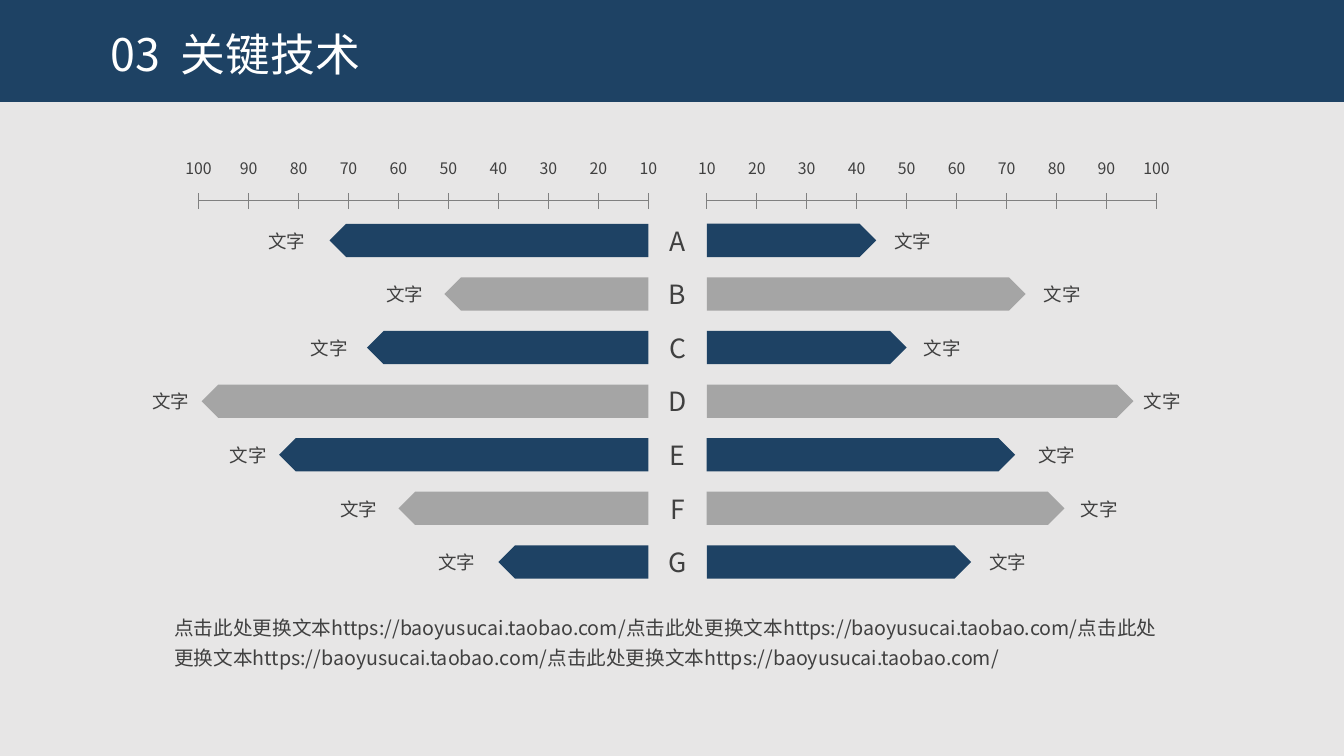
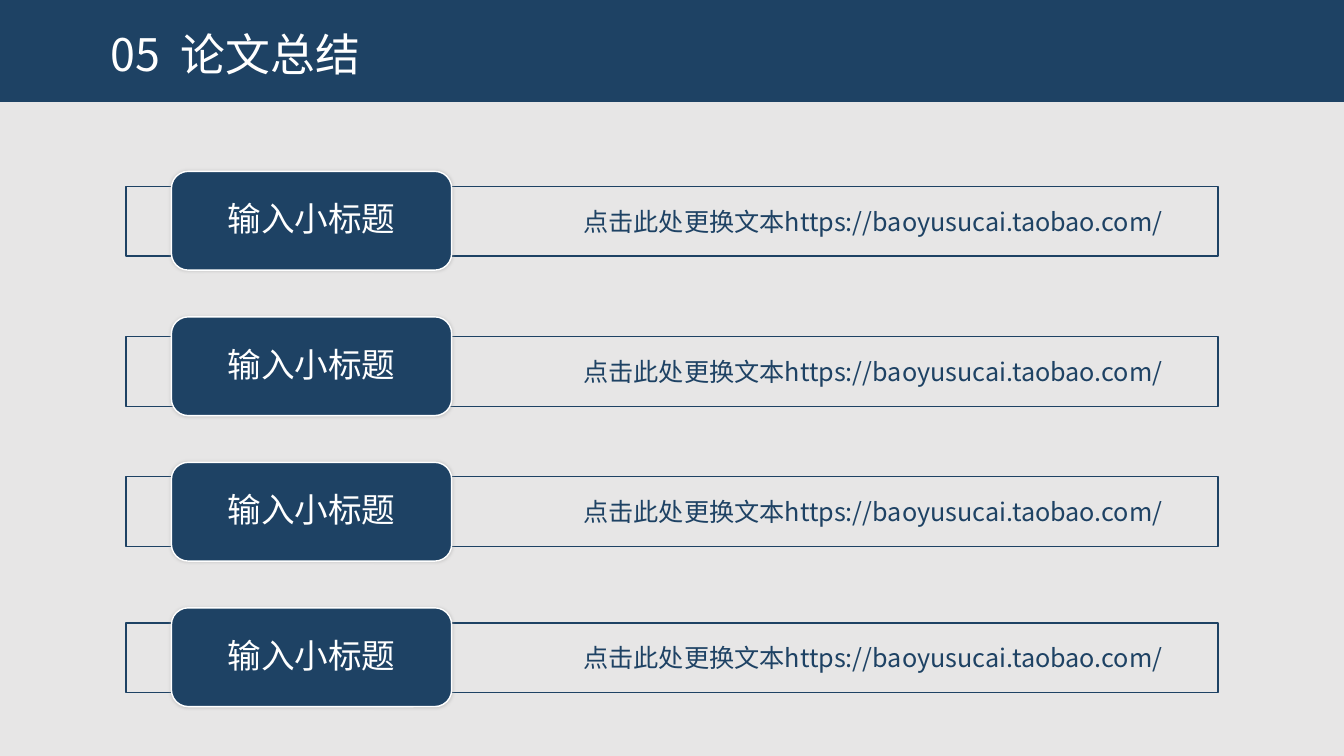
from lxml import etree
from pptx import Presentation
from pptx import util as u
from pptx.dml.color import RGBColor
from pptx.enum import shapes, text
from pptx.oxml import ns

FONT = "Noto Sans CJK SC"
NAVY, GREY, INK, RULE, PAPER, WHITE = (
    "1E4264", "A5A5A5", "404040", "808080", "E7E6E6", "FFFFFF")
PROMPT = "点击此处更换文本https://baoyusucai.taobao.com/"

# Letter, then value and label gap on the left, then the same on the right
SCORES = [
    ("A", (73.8, 0.14), (43.9, 0.08)),
    ("B", (50.8, 0.11), (73.8, 0.08)),
    ("C", (66.3, 0.09), (50, 0.07)),
    ("D", (99.4, 0.02), (95.4, 0)),
    ("E", (83.9, 0.02), (71.7, 0.13)),
    ("F", (60, 0.11), (81.6, 0.06)),
    ("G", (40, 0.13), (62.9, 0.08)),
]
BAR_LABEL = "文字"
SCALE = range(10, 101, 10)

# Small heading, text, top of the frame
CONCLUSIONS = [("输入小标题", PROMPT, top) for top in (1.85, 3.34, 4.73, 6.18)]

WIDTH, HEIGHT = 13.33, 7.5
LEFT_ZERO, RIGHT_ZERO = 6.43, 7.01
AXIS_Y, AXIS_LENGTH, TICK = 1.99, 4.46, 0.08
BAR_TOP, BAR_HEIGHT, BAR_PITCH = 2.22, 0.33, 3.19 / 6
LABEL_WIDTH = 0.57
CARD_TOP, CARD_PITCH = 1.7, 4.33 / 3


def rgb(colour):
    return RGBColor.from_string(colour)


def inches(*lengths):
    return [u.Inches(length) for length in lengths]


def write(frame, words, size, colour, align=text.PP_ALIGN.LEFT, spacing=None):
    """Fill a text frame with one formatted paragraph and return it."""
    frame.text = words
    paragraph = frame.paragraphs[0]
    paragraph.alignment = align
    if spacing:
        paragraph.line_spacing = spacing
    for run in paragraph.runs:
        run.font.size = u.Pt(size)
        run.font.color.rgb = rgb(colour)
        run.font.name = FONT
        latin = run.font._element.find(ns.qn("a:latin"))
        east_asian = etree.Element(ns.qn("a:ea"), typeface=FONT)
        latin.addnext(east_asian)
    return paragraph


def set_margins(frame, side):
    frame.word_wrap = True
    frame.margin_left = frame.margin_right = u.Inches(side)


def add_centred(slide, words, centre, top, width, height, size):
    box = slide.shapes.add_textbox(*inches(centre - width / 2, top, width, height))
    set_margins(box.text_frame, 0)
    write(box.text_frame, words, size, INK, text.PP_ALIGN.CENTER)


def add_block(slide, preset, place, fill=None, line=None):
    block = slide.shapes.add_shape(preset, *inches(*place))
    block.shadow.inherit = False
    if fill:
        block.fill.solid()
        block.fill.fore_color.rgb = rgb(fill)
    else:
        block.fill.background()
    if line:
        block.line.color.rgb = rgb(line)
        block.line.width = u.Pt(1)
    else:
        block.line.fill.background()
    return block


def add_rule(slide, *ends):
    rule = slide.shapes.add_connector(shapes.MSO_CONNECTOR.STRAIGHT, *inches(*ends))
    rule.line.color.rgb = rgb(RULE)
    rule.line.width = u.Pt(0.5)
    etree.SubElement(rule._element.spPr, ns.qn("a:effectLst"))


def add_glow(block):
    """Soft grey shadow all round the block."""
    effects = block._element.spPr.find(ns.qn("a:effectLst"))
    shadow = etree.SubElement(effects, ns.qn("a:outerShdw"), blurRad=str(u.Pt(2)),
                              dist="0", dir="0", algn="ctr", rotWithShape="0")
    tint = etree.SubElement(shadow, ns.qn("a:srgbClr"), val=GREY)
    etree.SubElement(tint, ns.qn("a:alpha"), val="40000")


def style_layout(prs, layout):
    """Shared background, header band and title place."""
    fill = prs.slide_master.background.fill
    fill.solid()
    fill.fore_color.rgb = rgb(PAPER)
    title = layout.placeholders[0]
    title.left, title.top, title.width, title.height = inches(1, 0.28, 6.04, 0.72)
    title.text_frame.vertical_anchor = text.MSO_ANCHOR.TOP
    title.text_frame.auto_size = text.MSO_AUTO_SIZE.NONE


def add_titled_slide(prs, layout, heading):
    slide = prs.slides.add_slide(layout)
    write(slide.shapes.title.text_frame, heading, 32, WHITE, spacing=0.9)
    return slide


def move_to_layout(block, layout):
    layout.shapes.element.insert(2, block._element)


def add_scale(slide, zero, direction):
    add_rule(slide, zero, AXIS_Y, zero + direction * AXIS_LENGTH, AXIS_Y)
    step = AXIS_LENGTH / (len(SCALE) - 1)
    for index, value in enumerate(SCALE):
        x = zero + direction * index * step
        add_rule(slide, x, AXIS_Y + TICK, x, AXIS_Y - TICK)
        add_centred(slide, str(value), x, 1.52, 0.48, 0.29, 11.3)


def add_bar(slide, zero, direction, score, top, colour):
    value, gap = score
    length = (value - SCALE[0]) / (SCALE[-1] - SCALE[0]) * AXIS_LENGTH
    tip = zero + direction * length
    bar = add_block(slide, shapes.MSO_SHAPE.PENTAGON,
                    (min(zero, tip), top, length, BAR_HEIGHT), colour)
    bar.rotation = 0 if direction > 0 else 180
    add_centred(slide, BAR_LABEL, tip + direction * (gap + LABEL_WIDTH / 2),
                top + 0.01, LABEL_WIDTH, 0.32, 13.2)


def fill_technology(slide):
    caption = slide.shapes.add_textbox(*inches(1.63, 5.99, 10.07, 0.71)).text_frame
    caption.word_wrap = True
    write(caption, PROMPT * 4, 14, INK, spacing=1.3)
    sides = ((LEFT_ZERO, -1), (RIGHT_ZERO, 1))
    for zero, direction in sides:
        add_scale(slide, zero, direction)
    for row, (letter, *scores) in enumerate(SCORES):
        top = BAR_TOP + row * BAR_PITCH
        for (zero, direction), score in zip(sides, scores):
            add_bar(slide, zero, direction, score, top, (NAVY, GREY)[row % 2])
        add_centred(slide, letter, (LEFT_ZERO + RIGHT_ZERO) / 2, top - 0.04,
                    RIGHT_ZERO - LEFT_ZERO, 0.42, 18.9)


def fill_conclusions(slide):
    for row, (heading, words, top) in enumerate(CONCLUSIONS):
        frame = add_block(slide, shapes.MSO_SHAPE.RECTANGLE,
                          (1.25, top, 10.83, 0.69), line=NAVY)
        frame.text_frame.margin_right = u.Inches(0.55)
        write(frame.text_frame, words, 18, NAVY, text.PP_ALIGN.RIGHT)

        card = add_block(slide, shapes.MSO_SHAPE.ROUNDED_RECTANGLE,
                         (1.7, CARD_TOP + row * CARD_PITCH, 2.78, 0.98), NAVY, WHITE)
        card.adjustments[0] = 0.17
        add_glow(card)
        set_margins(card.text_frame, 0.33)
        label = write(card.text_frame, heading, 24, WHITE, text.PP_ALIGN.CENTER, 0.9)
        label.space_after = u.Pt(2)


def main():
    prs = Presentation()
    prs.slide_width, prs.slide_height = inches(WIDTH, HEIGHT)
    layout = prs.slide_layouts.get_by_name("Title Only")
    style_layout(prs, layout)

    technology = add_titled_slide(prs, layout, "03  关键技术")
    band = add_block(technology, shapes.MSO_SHAPE.RECTANGLE, (0, 0, WIDTH, 1.01), NAVY)
    move_to_layout(band, layout)
    fill_technology(technology)
    fill_conclusions(add_titled_slide(prs, layout, "05  论文总结"))
    prs.save("out.pptx")


if __name__ == "__main__":
    main()
